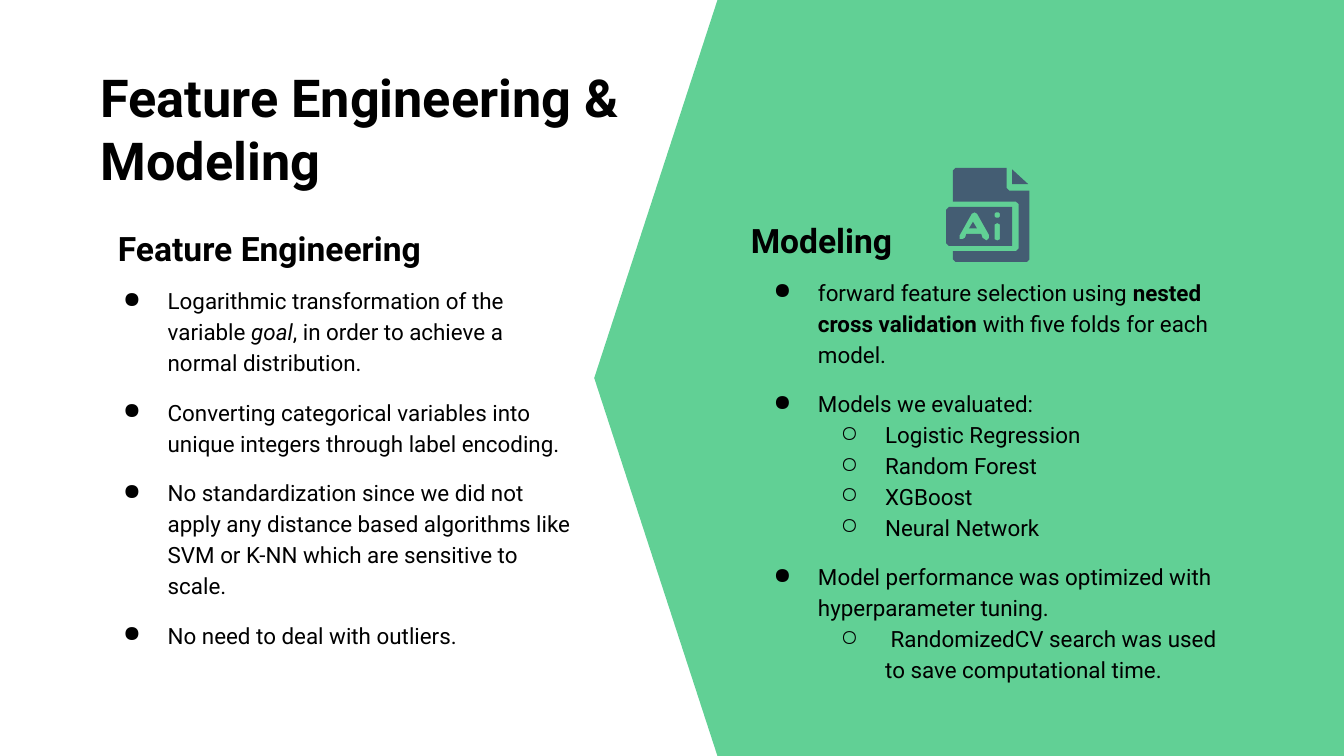
from math import cos, sin, pi
from lxml import etree
from pptx import Presentation
from pptx.dml.color import RGBColor
from pptx.enum import shapes, text
from pptx.oxml import ns
from pptx.util import Cm, Pt

FONT, INK, GREEN, SLATE = "Roboto", "000000", "61D095", "445D73"

HEADS = [
    ("Feature Engineering & Modeling", 28, (1.65, 0.99, 10.72, 2.9)),
    ("Feature Engineering", 18, (1.98, 4.14, 6.43, 0.97)),
    ("Modeling", 18, (13.94, 3.99, 4.47, 0.97)),
]

LISTS = [
    ((1.65, 5.11, 9.47, 8.38), [
        (0, [("Logarithmic transformation of the variable ", ""), ("goal", "i"),
             (", in order to achieve a normal distribution.", "")]),
        (0, [("Converting categorical variables into unique integers through label encoding.", "")]),
        (0, [("No standardization since we did not apply any distance based algorithms "
              "like SVM or K-NN which are sensitive to scale.", "")]),
        (0, [("No need to deal with outliers.", "")]),
    ]),
    ((13.94, 4.95, 9.47, 8.38), [
        (0, [("forward feature selection using ", ""), ("nested cross validation", "b"),
             (" with five folds for each model.", "")]),
        (0, [("Models we evaluated:", "")]),
        (1, [("Logistic Regression", "")]),
        (1, [("Random Forest", "")]),
        (1, [("XGBoost", "")]),
        (1, [("Neural Network", "")]),
        (0, [("Model performance was optimized with hyperparameter tuning.", "")]),
        (1, [(" RandomizedCV search was used to save computational time.", "")]),
    ]),
]

UNIT = Cm(0.0254)
DOT = [(742 + 2.3 * cos(k * pi / 6), 160 + 2.3 * sin(k * pi / 6)) for k in range(12)]
STEM = [(740, 167), (742, 166), (744, 167), (744, 178), (742, 179), (740, 178)]
LETTER = [(723, 159), (725, 158), (727, 159), (736, 175), (736, 177), (734, 179),
          (731, 177), (730, 174), (719, 174), (718, 177), (716, 178.5), (714, 178), (714, 175)]
PLATE = [(706, 154), (753, 154), (753, 183), (706, 183), (704, 181), (704, 156)]
PAGE = [(711, 125), (749, 125), (749, 140), (751, 142), (766, 142), (766, 193),
        (764, 195), (711, 195), (709, 193), (709, 187), (756, 187), (758, 185),
        (758, 152), (756, 150), (709, 150), (709, 127)]
FOLD = [(753, 126), (765, 137), (753, 137)]
CORE = [(724, 165), (727, 170), (721, 170)]
ICON = [[PAGE], [FOLD], [PLATE, LETTER, STEM, DOT], [CORE]]


def color(code):
    return RGBColor.from_string(code)


def paint(shape, code):
    shape.shadow.inherit = False
    shape.fill.solid()
    shape.fill.fore_color.rgb = color(code)
    shape.line.fill.background()


def style(par, size, bold=None):
    font = par.font
    font.name, font.size, font.bold = FONT, Pt(size), bold
    font.color.rgb = color(INK)


def frame(slide, box):
    body = slide.shapes.add_textbox(*map(Cm, box)).text_frame
    body.word_wrap = True
    body.margin_left = body.margin_right = Cm(0.25)
    body.margin_top = body.margin_bottom = Cm(0.25)
    return body


def bullet(par, level):
    par.level = level
    props = par._p.get_or_add_pPr()
    props.set("marL", str(Cm(1.27 * (level + 1))))
    props.set("indent", str(Cm(-0.84)))
    mark = etree.SubElement(props, ns.qn("a:buChar"))
    mark.set("char", "●○"[level])


def draw(slide, rings):
    first, *rest = rings
    form = slide.shapes.build_freeform(*first[0], scale=UNIT)
    form.add_line_segments(first[1:])
    for ring in rest:
        form.move_to(*ring[0])
        form.add_line_segments(ring[1:])
    paint(form.convert_to_shape(), SLATE)


def main():
    deck = Presentation()
    deck.slide_width, deck.slide_height = Cm(25.4), Cm(14.29)
    slide = deck.slides.add_slide(deck.slide_layouts[6])

    panel = slide.shapes.add_shape(
        shapes.MSO_SHAPE.PENTAGON, Cm(11.23), Cm(0), Cm(14.2), Cm(14.29))
    panel.adjustments[0] = 0.164
    panel.rotation = 180
    paint(panel, GREEN)

    for words, size, box in HEADS:
        body = frame(slide, box)
        par = body.paragraphs[0]
        par.text = words
        style(par, size, True)
        if size == 18:
            body.vertical_anchor = text.MSO_ANCHOR.MIDDLE
            par.line_spacing = 1.15

    for box, items in LISTS:
        body = frame(slide, box)
        for n, (level, runs) in enumerate(items):
            par = body.add_paragraph() if n else body.paragraphs[0]
            bullet(par, level)
            par.line_spacing = 1.15
            if n and level == 0:
                par.space_before = Pt(10)
            style(par, 12)
            for words, look in runs:
                run = par.add_run()
                run.text = words
                if look == "b":
                    run.font.bold = True
                if look == "i":
                    run.font.italic = True

    for rings in ICON:
        draw(slide, rings)
    deck.save("out.pptx")


if __name__ == "__main__":
    main()
